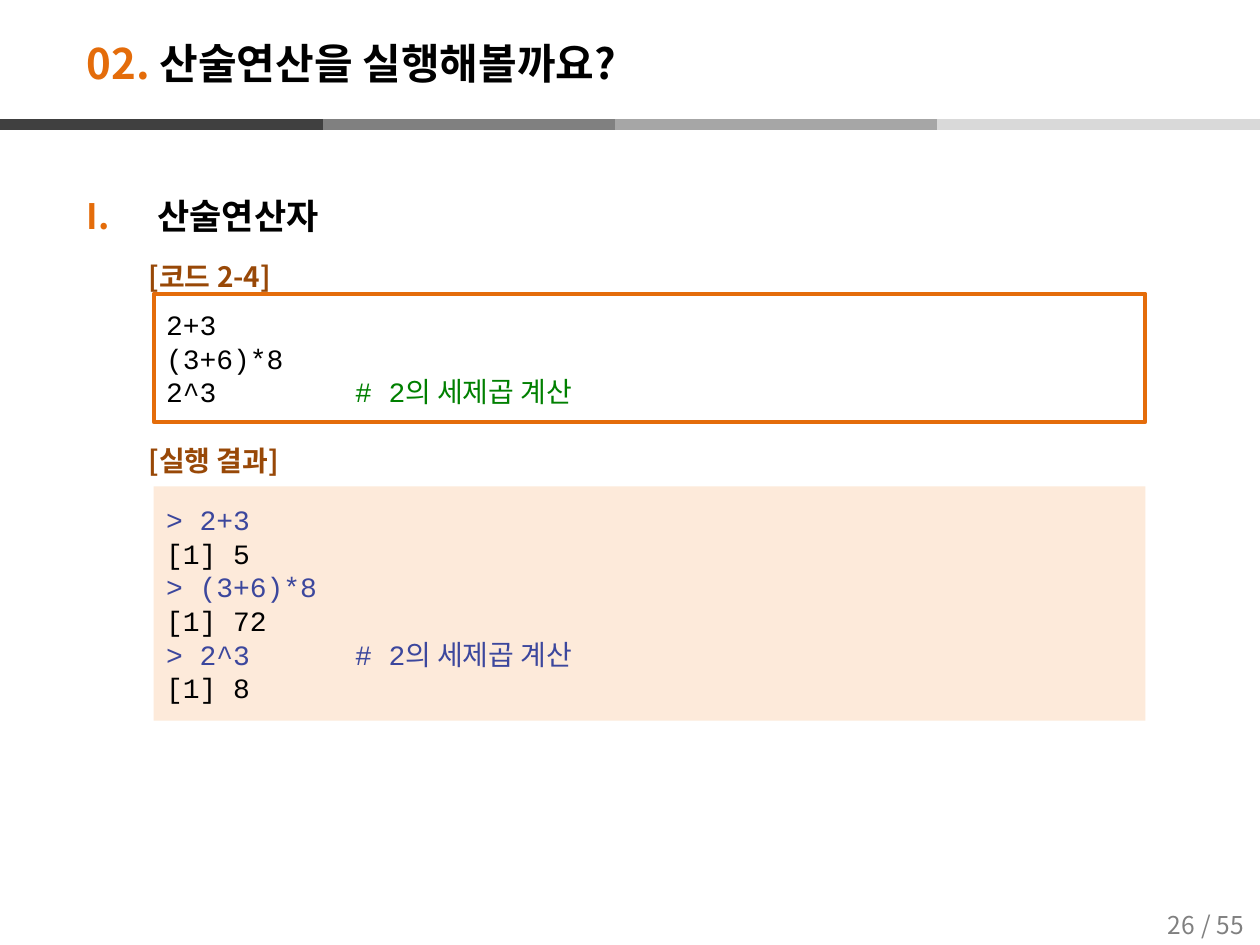
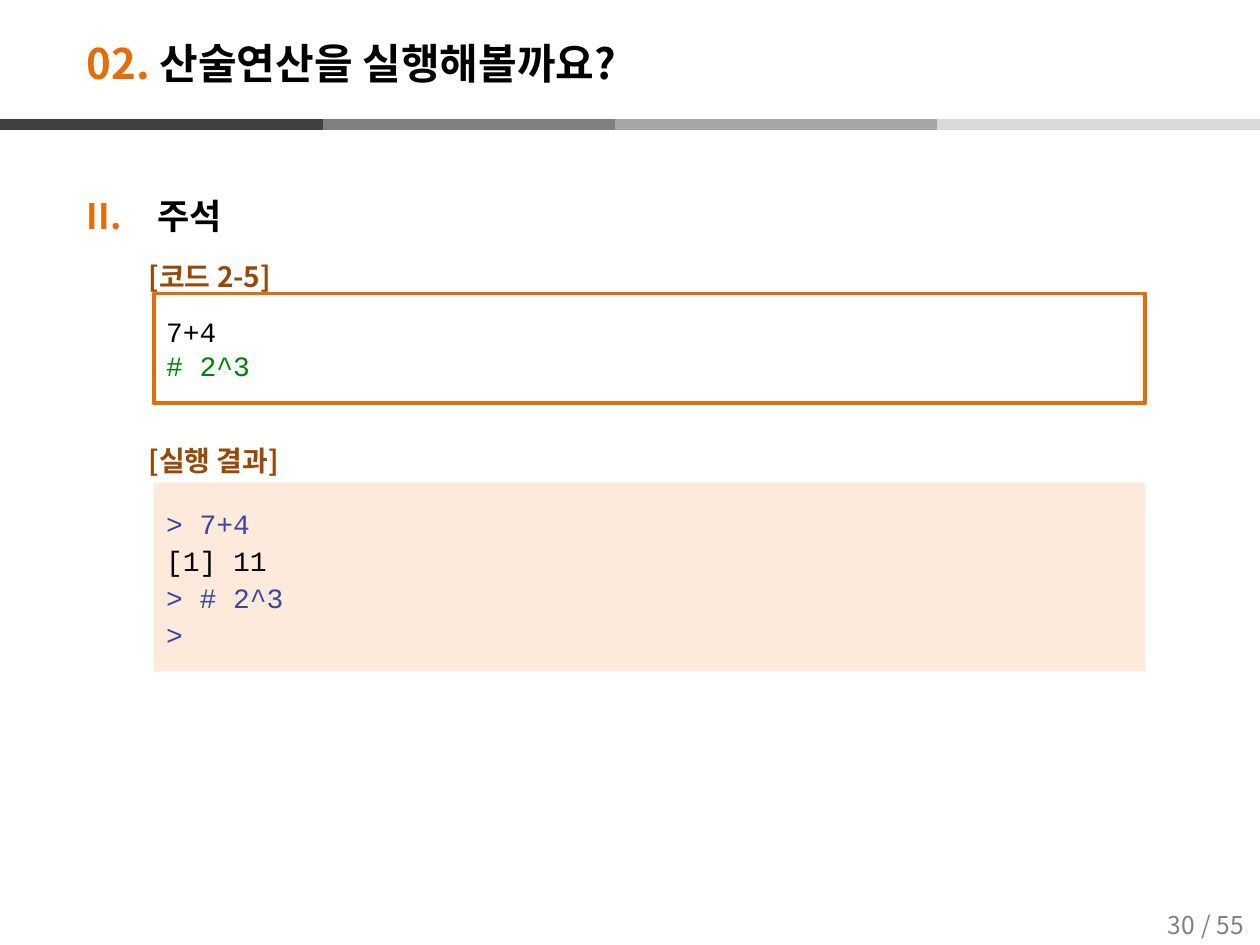
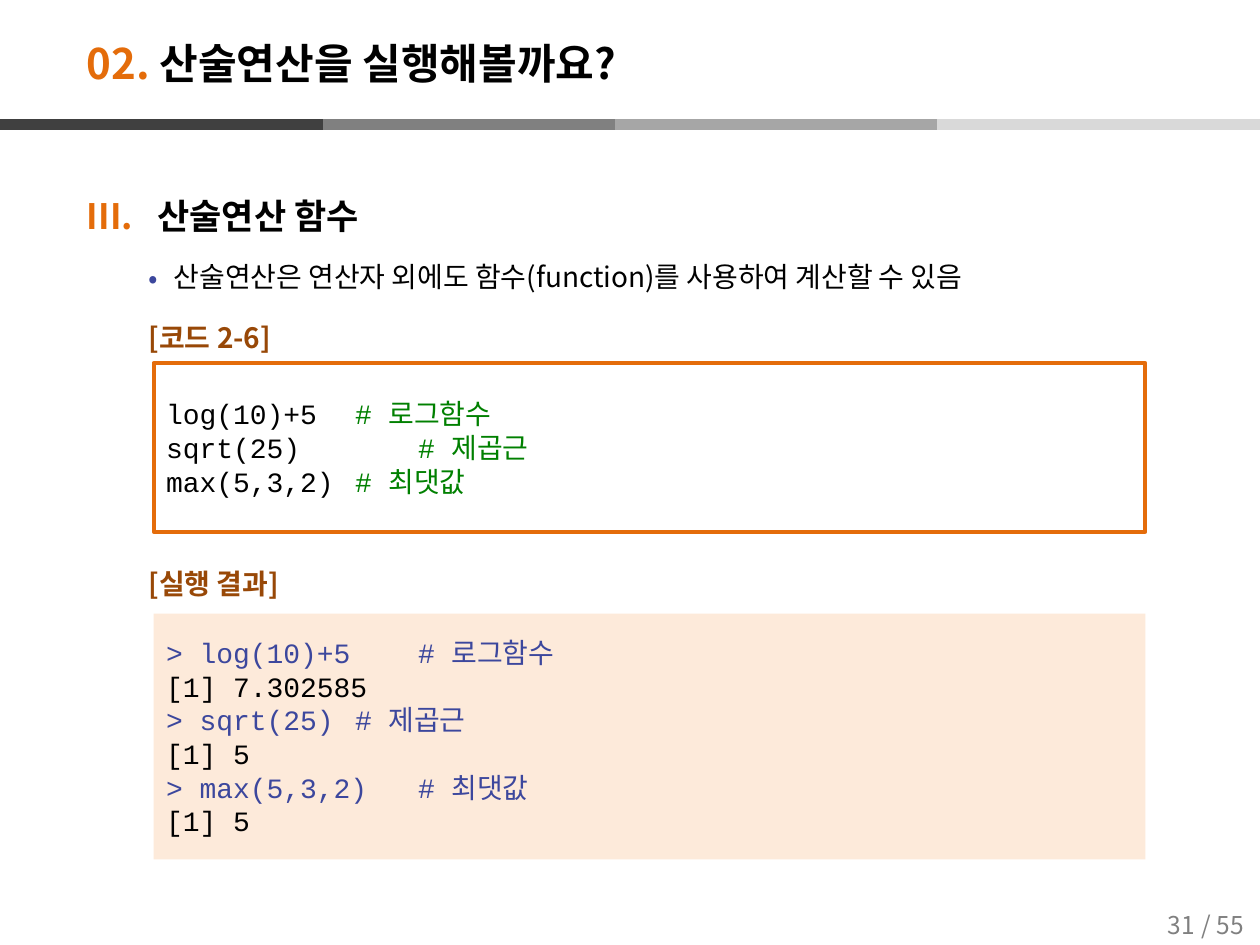
"""Build three lecture slides on arithmetic in R: operators, comments and functions."""
import pptx
import pptx.dml.color
import pptx.enum.shapes
import pptx.enum.text
import pptx.oxml
import pptx.oxml.ns
import pptx.util
import lxml.etree

SANS, LATIN, MONO = "Noto Sans CJK KR", "Arial", "Courier New"
BLACK, ORANGE, BROWN, INDIGO = "000000", "E46C0A", "984807", "3C479D"
GREEN, PEACH, GREY = "008000", "FDEADA", "808080"
LEFT = pptx.enum.text.PP_ALIGN.LEFT
CENTER = pptx.enum.text.PP_ALIGN.CENTER
MIDDLE = pptx.enum.text.MSO_ANCHOR.MIDDLE
RECTANGLE = pptx.enum.shapes.MSO_SHAPE.RECTANGLE
STRAIGHT = pptx.enum.shapes.MSO_CONNECTOR.STRAIGHT
EXTRA_LINE = 35.2

presentation = pptx.Presentation()
presentation.slide_width = pptx.util.Inches(10)
presentation.slide_height = pptx.util.Inches(7.5)
CELL = presentation.slide_width // 100


def paint(format_part, value):
    """Give a fill, or the fill of a line or font, one solid colour."""
    format_part.solid()
    format_part.fore_color.rgb = pptx.dml.color.RGBColor.from_string(value)


def write(frame, pieces, font=SANS, size=16, bold=False, align=LEFT, level=0, spacing=None,
          before=0, after=0, margin=0, indent=0, bullet=None, bullet_color=ORANGE):
    """Add a paragraph made of (text, colour) pieces to a text frame."""
    paragraph = frame.add_paragraph() if frame.text else frame.paragraphs[0]
    paragraph.alignment, paragraph.level = align, level
    paragraph.space_before = pptx.util.Pt(before)
    paragraph.space_after = pptx.util.Pt(after)
    paragraph.line_spacing = spacing
    for text, value in pieces:
        run = paragraph.add_run()
        run.text = text
        run.font.size, run.font.bold, run.font.name = pptx.util.Pt(size), bold, font
        paint(run.font.fill, value)
        east_asian = lxml.etree.SubElement(run.font._element, pptx.oxml.ns.qn("a:ea"))
        east_asian.set("typeface", SANS)
    properties = paragraph._p.get_or_add_pPr()
    properties.set("marL", str(round(margin * CELL)))
    properties.set("indent", str(round(indent * CELL)))
    marks = ["<a:buNone {}/>"]
    if bullet:
        marks = ['<a:buClr {}><a:srgbClr val="%s"/></a:buClr>' % bullet_color,
                 '<a:buFont {} typeface="%s"/>' % SANS, bullet]
    for mark in marks:
        properties.append(pptx.oxml.parse_xml(mark.format(pptx.oxml.ns.nsdecls("a"))))


lessons = [
    dict(number=26, heading="산술연산자", label="[코드 2-4]", gap=2, result_spacing=1.0,
         code_rows=(23.3, 10.2), result_rows=(38.6, 18.6),
         code=["2+3", "(3+6)*8", "2^3 \t\t# 2의 세제곱 계산"],
         result=["> 2+3", "[1] 5", "> (3+6)*8", "[1] 72",
                 "> 2^3 \t\t# 2의 세제곱 계산", "[1] 8"]),
    dict(number=30, heading="주석", label="[코드 2-5]", gap=2, result_spacing=1.1,
         code_rows=(23.3, 8.7), result_rows=(38.3, 15),
         code=["7+4", "# 2^3"],
         result=["> 7+4", "[1] 11", "> # 2^3", ">"]),
    dict(number=31, heading="산술연산 함수", label="[코드 2-6]", gap=3, result_spacing=1.0,
         point="산술연산은 연산자 외에도 함수(function)를 사용하여 계산할 수 있음",
         code_rows=(28.8, 13.4), result_rows=(48.7, 19.5),
         code=["log(10)+5 \t# 로그함수", "sqrt(25) \t\t# 제곱근", "max(5,3,2) \t# 최댓값"],
         result=["> log(10)+5 \t# 로그함수", "[1] 7.302585", "> sqrt(25) \t# 제곱근", "[1] 5",
                 "> max(5,3,2) \t# 최댓값", "[1] 5"]),
]
bands = [(23.2, 48.8, "808080"), (48.8, 74.4, "A6A6A6"), (74.4, 100, "D9D9D9"), (0, 25.6, "404040")]

for order, lesson in enumerate(lessons, 1):
    slide = presentation.slides.add_slide(presentation.slide_layouts[1])

    for start, end, value in bands:
        band = slide.shapes.add_connector(
            STRAIGHT, *[round(n * CELL) for n in (start, 9.9, end, 9.9)])
        band.line.width = pptx.util.Pt(6)
        paint(band.line.fill, value)
        lxml.etree.SubElement(band._element.spPr, pptx.oxml.ns.qn("a:effectLst"))

    for left, text in [(93.5, "/ 55"), (90.2, str(lesson["number"]))]:
        footer = slide.shapes.add_textbox(*[round(n * CELL) for n in (left, 71.4, 7.1, 3.9)])
        footer.text_frame.word_wrap = True
        footer.text_frame.vertical_anchor = MIDDLE
        write(footer.text_frame, [(text, GREY)], size=14, align=CENTER)

    title, body = slide.placeholders
    for holder, area in [(title, (5.9, 2, 87.4, 6)), (body, (5.9, 13.1, 88.2, 59.9))]:
        holder.left, holder.top, holder.width, holder.height = [round(n * CELL) for n in area]
        holder.text_frame.auto_size = pptx.enum.text.MSO_AUTO_SIZE.NONE
    title.text_frame.vertical_anchor = MIDDLE
    write(title.text_frame, [("02. ", ORANGE), ("산술연산을 실행해볼까요?", BLACK)], size=24, bold=True)

    write(body.text_frame, [(lesson["heading"], BLACK)], font=LATIN, size=20, bold=True,
          spacing=pptx.util.Pt(37.5), margin=5.6, indent=-5.6,
          bullet='<a:buAutoNum {} type="romanUcPeriod" startAt="%d"/>' % order)
    item = dict(level=1, spacing=pptx.util.Pt(28.7), after=3)
    if "point" in lesson:
        write(body.text_frame, [(lesson["point"], BLACK)], before=3.2, margin=6.9, indent=-2,
              bullet='<a:buChar {} char="•"/>', bullet_color=INDIGO, **item)
    for label, gap in [(lesson["label"], 0), ("[실행 결과]", lesson["gap"])]:
        write(body.text_frame, [(label, BROWN)], bold=True, margin=4.9,
              before=3.2 + gap * EXTRA_LINE, **item)

    for kind in ("code", "result"):
        top, height = lesson[kind + "_rows"]
        panel = slide.shapes.add_shape(
            RECTANGLE, *[round(n * CELL) for n in (12.2, top, 78.7, height)])
        panel.shadow.inherit = False
        panel.text_frame.word_wrap = True
        panel.text_frame.vertical_anchor = MIDDLE
        if kind == "code":
            panel.fill.background()
            panel.line.width = pptx.util.Pt(2.25)
            paint(panel.line.fill, ORANGE)
        else:
            paint(panel.fill, PEACH)
            panel.line.fill.background()
        for line in lesson[kind]:
            if kind == "code":
                command, mark, comment = line.partition("#")
                pieces = [(command, BLACK), (mark + comment, GREEN)]
            else:
                pieces = [(line, INDIGO if line.startswith(">") else BLACK)]
            write(panel.text_frame, [piece for piece in pieces if piece[0]], font=MONO,
                  spacing=lesson["result_spacing"] if kind == "result" else 1.0)

presentation.save("out.pptx")
